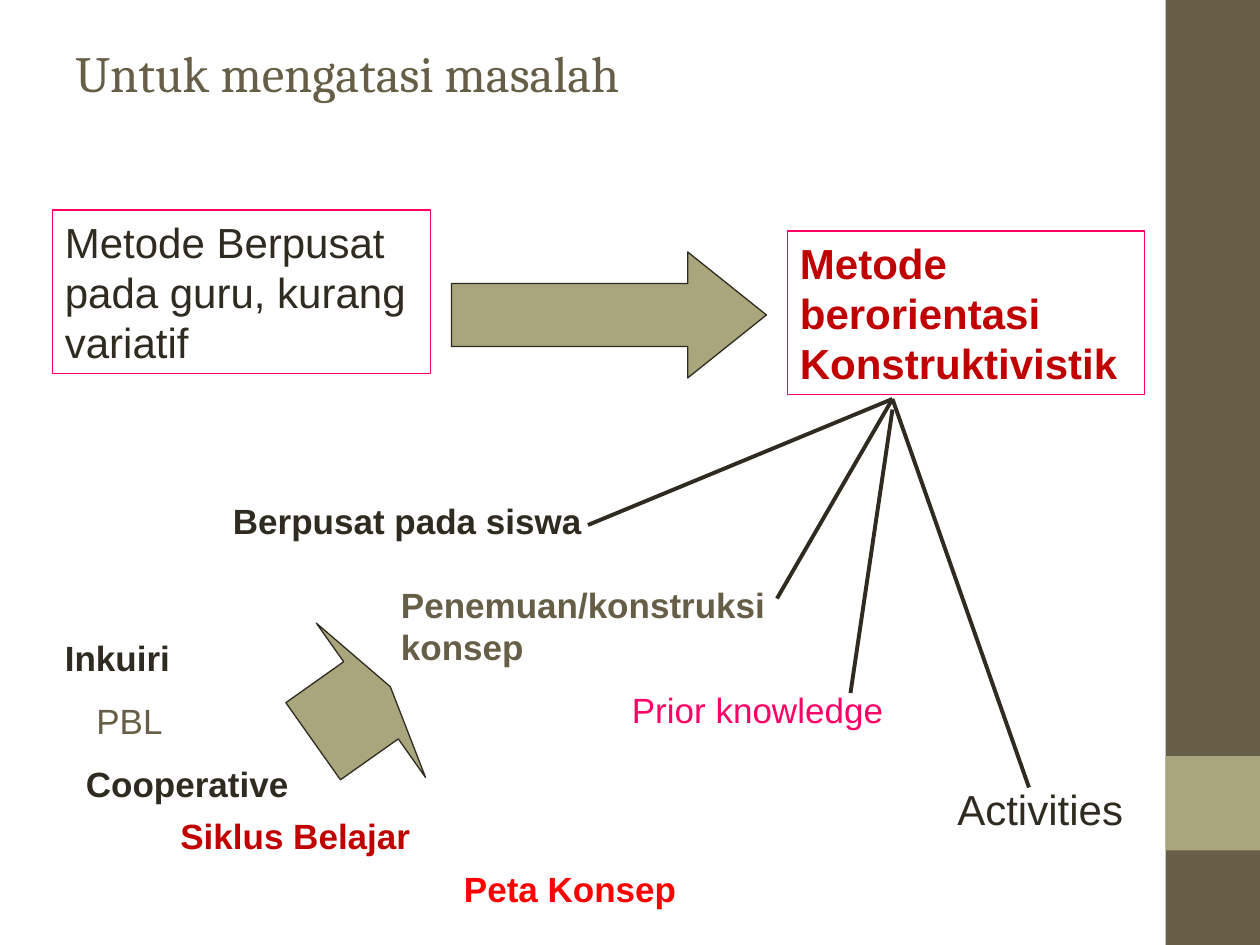
from pptx import Presentation
from pptx.dml.color import RGBColor
from pptx.enum.shapes import MSO_CONNECTOR, MSO_SHAPE
from pptx.enum.text import MSO_ANCHOR, MSO_AUTO_SIZE, PP_ALIGN
from pptx.oxml import parse_xml
from pptx.oxml.ns import nsdecls
from pptx.util import Inches, Pt

# Grid of 120 columns by 90 rows
CELL = Inches(10) / 120
DARK, OLIVE, SAGE = "2F2B20", "675E47", "A9A57C"
PINK, CRIMSON, RED = "FF0066", "C00000", "FF0000"


def grid(*cells):
    return [round(n * CELL) for n in cells]


def color(hex_code):
    return RGBColor.from_string(hex_code)


prs = Presentation()
prs.slide_width, prs.slide_height = grid(120, 90)
s = prs.slides.add_slide(prs.slide_layouts[6])

# Side band with its square, then the two arrows
shapes = [
    (MSO_SHAPE.RECTANGLE, (111, 0, 9, 90), OLIVE, 0, []),
    (MSO_SHAPE.RECTANGLE, (111, 72, 9, 9), SAGE, 0, []),
    (MSO_SHAPE.RIGHT_ARROW, (43, 24, 30, 12), SAGE, 0, [0.5, 0.625]),
    (MSO_SHAPE.RIGHT_ARROW, (29, 59, 9, 18), SAGE, 324.7, [0.5, 0.25]),
]
for kind, box, fill, angle, adjustments in shapes:
    sp = s.shapes.add_shape(kind, *grid(*box))
    sp.shadow.inherit = False
    sp.fill.solid()
    sp.fill.fore_color.rgb = color(fill)
    sp.rotation = angle
    for i, value in enumerate(adjustments):
        sp.adjustments[i] = value
    if adjustments:
        sp.line.color.rgb = color(DARK)
        sp.line.width = Pt(0.75)
    else:
        sp.line.fill.background()

# Texts: wording, box, size, colour, bold, framed
texts = [
    ("Untuk mengatasi masalah", (6, 3.6, 108, 6.6), 29, OLIVE, False, False),
    ("Metode Berpusat pada guru, kurang variatif", (5, 20, 36, 15.6), 24, DARK, False, True),
    ("Metode berorientasi Konstruktivistik", (75, 22, 34, 15.6), 24, CRIMSON, True, True),
    ("Berpusat pada siswa", (21, 47, 39, 5.25), 20, DARK, True, False),
    ("Penemuan/konstruksi konsep", (37, 55, 38, 9.25), 20, OLIVE, True, False),
    ("Prior knowledge", (59, 65, 29, 5.25), 20, PINK, False, False),
    ("Activities", (90, 74, 19, 6), 24, DARK, False, False),
    ("Inkuiri", (5, 60, 21, 5.25), 20, DARK, True, False),
    ("PBL", (8, 66, 11, 5.25), 20, OLIVE, False, False),
    ("Cooperative", (7, 72, 23, 5.25), 20, DARK, True, False),
    ("Siklus Belajar", (16, 77, 29, 5.25), 20, CRIMSON, True, False),
    ("Peta Konsep", (43, 82, 27, 5.25), 20, RED, True, False),
]
for text, box, size, ink, bold, framed in texts:
    is_title = size == 29
    sp = s.shapes.add_textbox(*grid(*box))
    if framed:
        sp.line.color.rgb = color(PINK)
        sp.line.width = Pt(0.75)
    tf = sp.text_frame
    tf.word_wrap = True
    tf.auto_size = MSO_AUTO_SIZE.NONE if is_title else MSO_AUTO_SIZE.SHAPE_TO_FIT_TEXT
    tf.vertical_anchor = MSO_ANCHOR.MIDDLE if is_title else MSO_ANCHOR.TOP
    p = tf.paragraphs[0]
    p.alignment = PP_ALIGN.LEFT
    r = p.add_run()
    r.text = text
    r.font.name = "Cambria" if is_title else "Arial"
    r.font.size = Pt(size)
    r.font.bold = bold
    r.font.color.rgb = color(ink)

# Lines fanning out from the constructivist method
for start_row, end_col, end_row in [(38, 56, 50), (38, 74, 57), (39, 81, 66), (38, 98, 75)]:
    line = s.shapes.add_connector(
        MSO_CONNECTOR.STRAIGHT, *grid(85, start_row, end_col, end_row))
    line.line.color.rgb = color(DARK)
    line.line.width = Pt(2.25)
    line._element.spPr.append(parse_xml(f"<a:effectLst {nsdecls('a')}/>"))

prs.save("out.pptx")
